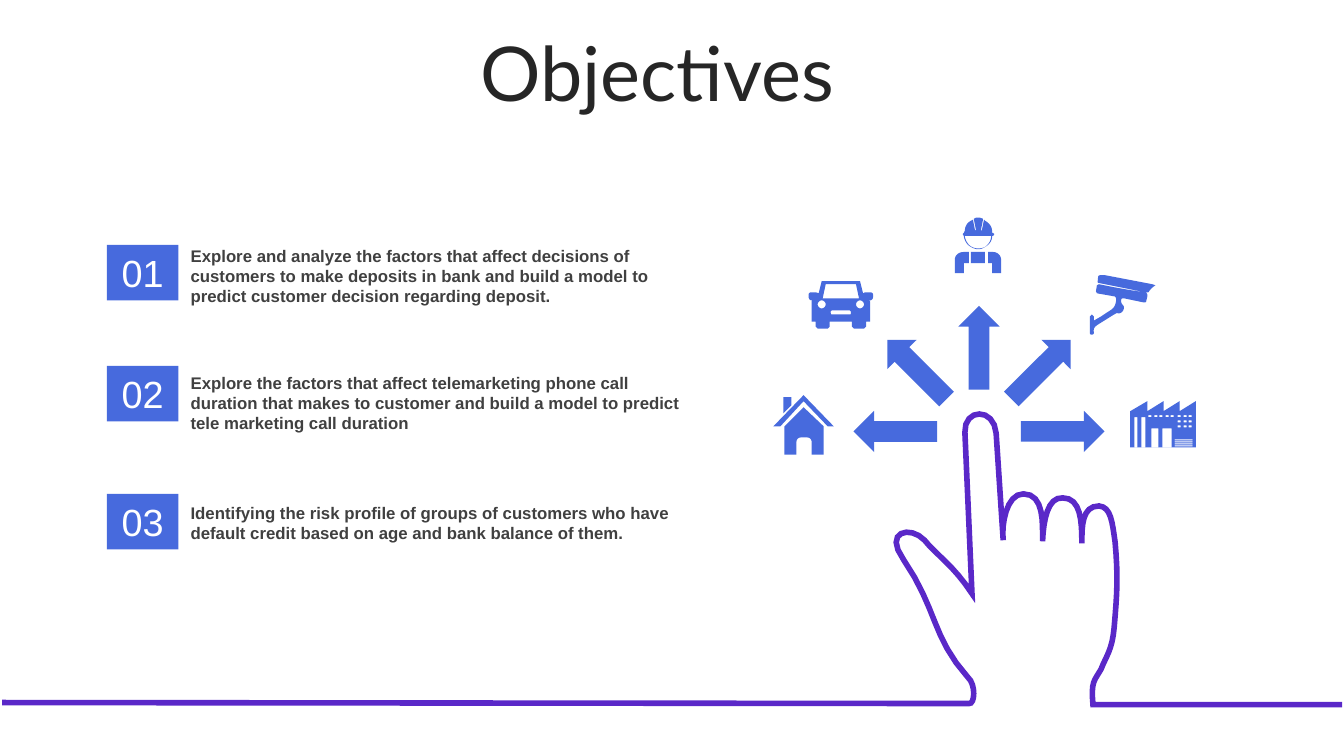
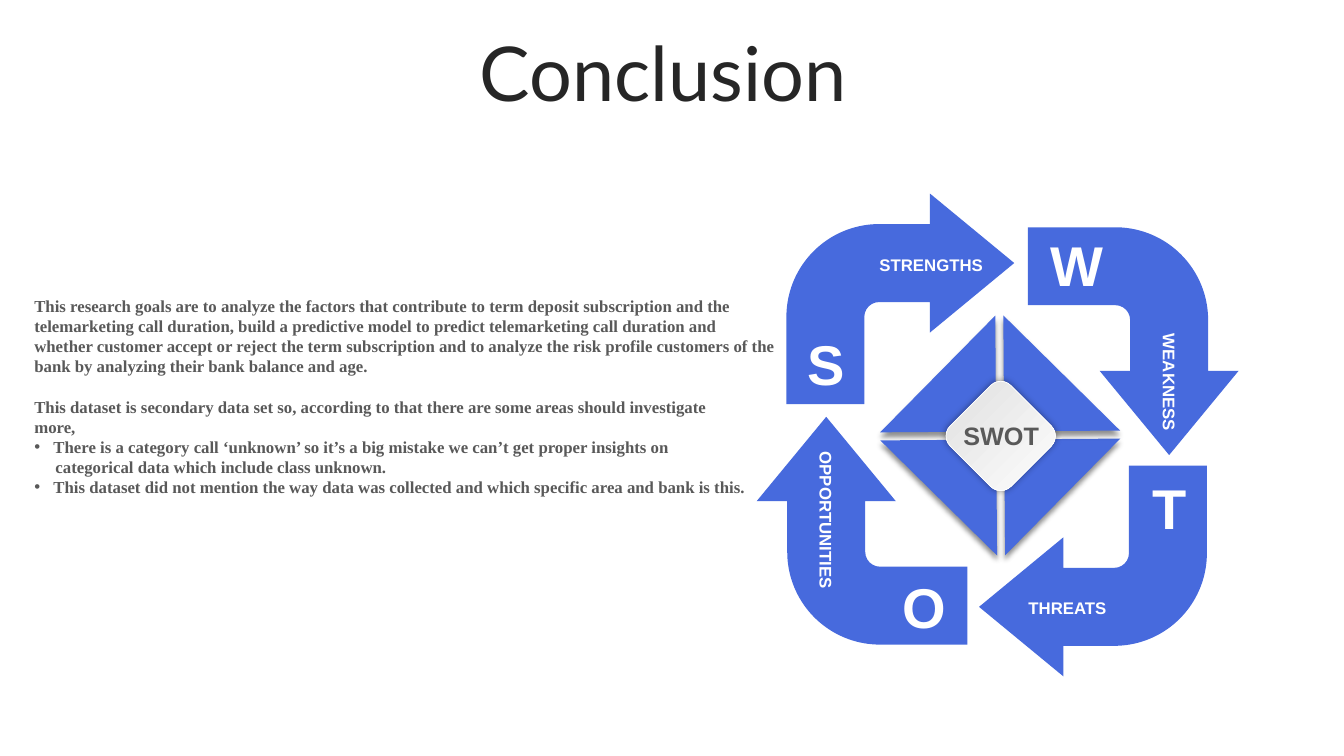
import math
from dataclasses import dataclass

import lxml.etree
import pptx
import pptx.dml.color
import pptx.enum.shapes
import pptx.enum.text
import pptx.oxml.ns
import pptx.util

Inches = pptx.util.Inches
Pt = pptx.util.Pt
qn = pptx.oxml.ns.qn
SHAPE = pptx.enum.shapes.MSO_SHAPE
ALIGN = pptx.enum.text.PP_ALIGN
ANCHOR = pptx.enum.text.MSO_ANCHOR


@dataclass(frozen=True)
class Theme:
    blue: str = "476ADD"
    purple: str = "5A28C8"
    white: str = "FFFFFF"
    silver: str = "DEDEDE"
    title_color: str = "262626"
    text_color: str = "404040"
    muted: str = "595959"
    title_font: str = "Lato"
    sans: str = "Arial"
    serif: str = "Times New Roman"
    title_size: float = 54
    letter_size: float = 40
    number_size: float = 27
    hub_size: float = 18
    text_size: float = 12


THEME = Theme()

OBJECTIVES = [
    ("01", 2.43, 2.39, "Explore and analyze the factors that affect decisions of customers to make deposits in bank "
     "and build a model to predict customer decision regarding deposit."),
    ("02", 3.63, 3.65, "Explore the factors that affect telemarketing phone call duration that makes to customer "
     "and build a model to predict tele marketing call duration"),
    ("03", 4.9, 4.94, "Identifying the risk profile of groups of customers who have default credit based on age "
     "and bank balance of them."),
]

CONCLUSION = [
    ("plain", "This research goals are to analyze the factors that contribute to term deposit subscription and the "
     "telemarketing call duration, build a predictive model to predict telemarketing call duration and whether "
     "customer accept or reject the term subscription and to analyze the risk profile customers of the bank by "
     "analyzing their bank balance and age."),
    ("spaced", "This dataset is secondary data set so, according to that there are some areas should investigate"),
    ("plain", "more,"),
    ("bullet", "There is a category call ‘unknown’ so it’s a big mistake we can’t get proper insights on"),
    ("continued", "categorical data which include class unknown."),
    ("bullet", "This dataset did not mention the way data was collected and which specific area and bank is this."),
]
INDENTS = {"plain": (0, 0), "spaced": (0, 0), "bullet": (0.19, -0.19), "continued": (0.21, 0)}

SWOT = [
    {"letter": "S", "letter_at": (7.74, 3.22), "arrow_at": (7.8, 1.92),
     "label": "STRENGTHS", "label_at": (8.35, 2.48, 1.52), "turn": 0, "align": ALIGN.RIGHT},
    {"letter": "W", "letter_at": (10.23, 2.24), "arrow_at": (10.11, 2.34),
     "label": "WEAKNESS", "label_at": (10.84, 3.49, 1.52), "turn": 90, "align": ALIGN.RIGHT},
    {"letter": "T", "letter_at": (11.15, 4.65), "arrow_at": (9.71, 4.62),
     "label": "THREATS", "label_at": (10.08, 5.88, 1.52), "turn": 0, "align": ALIGN.LEFT},
    {"letter": "O", "letter_at": (8.72, 5.63), "arrow_at": (7.42, 4.22),
     "label": "OPPORTUNITIES", "label_at": (7.22, 5.19, 1.95), "turn": 90, "align": ALIGN.LEFT},
]

HAND = [
    """M 0.02 6.97 L 9.61 6.98 C 9.67 6.99 9.68 6.79 9.6 6.72 9.24 6.32 9.3 6.05 8.96 5.55
    8.76 5.27 9.03 5.21 9.17 5.36 9.28 5.5 9.46 5.61 9.64 5.89 L 9.57 4.29
    C 9.56 4.05 9.86 4.04 9.88 4.3 L 9.95 5.36 C 9.93 5.21 9.98 4.9 10.15 4.9
    10.36 4.9 10.34 5.2 10.34 5.37 10.35 5.16 10.39 4.93 10.54 4.94
    10.72 4.94 10.73 5.17 10.73 5.39 10.73 5.22 10.73 5.02 10.9 5.02
    11.02 5.03 11.03 5.18 11.06 5.38 11.09 5.72 11.08 5.88 11.05 6.23
    11.03 6.45 10.97 6.51 10.92 6.64 10.85 6.76 10.82 6.76 10.84 6.99 L 13.31 6.99""",
]

HOUSE = [
    """M 7.97 4.04 L 8.17 4.23 8.17 4.51 8.05 4.51 8.05 4.38 C 8.05 4.36 8.03 4.34 8.01 4.34
    L 7.94 4.34 C 7.92 4.34 7.9 4.36 7.9 4.38 L 7.9 4.51 7.78 4.51 7.78 4.23""",
    "M 7.77 3.94 L 7.85 3.94 7.85 4.02 7.77 4.1",
    "M 7.97 3.92 L 8.27 4.23 8.21 4.23 7.97 3.98 7.74 4.23 7.67 4.23",
]

CAR = [
    """M 8.25 3.08 L 8.24 3.09 8.24 3.1 C 8.24 3.11 8.24 3.12 8.25 3.12
    L 8.43 3.12 C 8.44 3.12 8.44 3.11 8.44 3.1 L 8.44 3.09 8.43 3.08""",
    """M 8.53 2.98 C 8.51 2.98 8.49 3 8.49 3.02 8.49 3.04 8.51 3.06 8.53 3.06
    8.55 3.06 8.57 3.04 8.57 3.02 8.57 3 8.55 2.98 8.53 2.98""",
    """M 8.15 2.98 C 8.13 2.98 8.11 3 8.11 3.02 8.11 3.04 8.13 3.06 8.15 3.06
    8.17 3.06 8.19 3.04 8.19 3.02 8.19 3 8.17 2.98 8.15 2.98""",
    "M 8.19 2.82 L 8.16 2.96 8.52 2.96 8.49 2.82",
    """M 8.15 2.79 L 8.53 2.79 8.56 2.91 8.58 2.9 8.63 2.9
    C 8.65 2.9 8.66 2.91 8.66 2.93 L 8.66 2.94 C 8.66 2.96 8.65 2.98 8.63 2.98
    L 8.62 2.98 8.63 2.99 8.63 3.19 8.59 3.19 8.59 3.24 8.57 3.26 8.47 3.26 8.45 3.24
    8.45 3.19 8.23 3.19 8.23 3.24 8.21 3.26 8.11 3.26 8.09 3.24 8.09 3.19 8.05 3.19 8.05 2.99
    8.06 2.98 8.05 2.98 C 8.03 2.98 8.02 2.96 8.02 2.94 L 8.02 2.93
    C 8.02 2.91 8.03 2.9 8.05 2.9 L 8.09 2.9 8.12 2.91""",
]

CAMERA = [
    """M 10.9 2.82 C 11.05 2.85 11.2 2.88 11.36 2.9 11.38 2.91 11.38 2.92 11.38 2.94
    L 11.37 2.98 C 11.37 3 11.36 3 11.34 3 L 11.15 2.96
    C 11.13 2.96 11.12 2.96 11.12 2.98 11.12 3 11.12 3.01 11.14 3.03
    11.15 3.04 11.15 3.06 11.14 3.08 11.13 3.1 11.11 3.11 11.09 3.11
    11.08 3.1 11.07 3.11 11.05 3.12 L 10.89 3.22
    C 10.86 3.24 10.84 3.26 10.85 3.3 10.85 3.31 10.84 3.32 10.83 3.32
    10.81 3.32 10.81 3.31 10.81 3.3 L 10.81 3.14 10.83 3.12 10.85 3.14 10.85 3.18 10.92 3.14 11.01 3.08
    C 11.05 3.06 11.07 3.02 11.07 2.97 11.07 2.95 11.06 2.94 11.05 2.94
    L 10.88 2.91 10.87 2.89 10.88 2.83""",
    """M 10.92 2.73 L 10.96 2.73 11.43 2.82 11.46 2.83 C 11.43 2.85 11.41 2.87 11.39 2.9
    L 11.36 2.9 10.91 2.81 C 10.89 2.81 10.88 2.8 10.89 2.78 10.89 2.74 10.89 2.73 10.92 2.73""",
]

WORKER = [
    "M 9.8 2.5 L 9.85 2.5 C 9.89 2.5 9.93 2.53 9.93 2.58 L 9.93 2.71 9.84 2.71 9.84 2.61 9.8 2.61",
    "M 9.63 2.5 L 9.77 2.5 9.77 2.61 9.63 2.61",
    "M 9.56 2.5 L 9.61 2.5 9.61 2.61 9.56 2.61 9.56 2.71 9.47 2.71 9.47 2.58 C 9.47 2.53 9.51 2.5 9.56 2.5",
    """M 9.57 2.34 L 9.57 2.35 C 9.58 2.39 9.6 2.43 9.64 2.45 9.68 2.47 9.73 2.47 9.77 2.45
    9.8 2.43 9.83 2.39 9.83 2.35 L 9.83 2.34""",
    """M 9.68 2.16 L 9.72 2.16 9.75 2.17 9.75 2.18 9.73 2.28 9.73 2.29 9.74 2.28 9.76 2.18 9.77 2.19
    C 9.81 2.21 9.84 2.25 9.84 2.29 L 9.84 2.31 9.85 2.31 9.86 2.32 9.86 2.33 9.85 2.34
    9.84 2.34 9.84 2.35 C 9.84 2.39 9.81 2.43 9.77 2.45 9.73 2.48 9.68 2.48 9.63 2.45
    9.59 2.43 9.57 2.39 9.56 2.35 L 9.56 2.34 9.55 2.33 9.55 2.32 9.56 2.31 9.57 2.29
    C 9.57 2.25 9.59 2.21 9.63 2.19 L 9.65 2.18 9.67 2.28 9.68 2.29 9.68 2.28 9.66 2.18 9.66 2.17""",
]

FACTORY_OUTLINE = [
    """M 11.38 3.98 L 11.38 4.08 11.54 3.98 11.54 4.08 11.7 3.98 11.7 4.08 11.86 3.98
    11.86 4.44 11.21 4.44 11.21 4.08""",
]
WINDOW_COLUMNS = (11.39, 11.45, 11.5, 11.56, 11.61, 11.68, 11.74, 11.79)
FACTORY_OPENINGS = (
    [(11.65, top, 0.18, 0.01) for top in (4.36, 4.38, 4.4, 4.42)]
    + [(11.53, 4.25, 0.09, 0.19), (11.42, 4.25, 0.07, 0.19), (11.32, 4.14, 0.04, 0.3), (11.25, 4.14, 0.03, 0.3)]
    + [(left, 4.12, 0.03, 0.02) for left in WINDOW_COLUMNS]
    + [(left, top, 0.03, 0.02) for top in (4.17, 4.22) for left in WINDOW_COLUMNS[-3:]]
)


def rgb(color):
    return pptx.dml.color.RGBColor.from_string(color)


def box(left, top, width, height):
    return Inches(left), Inches(top), Inches(width), Inches(height)


def style_paragraph(paragraph, font, size, color, bold=False, align=ALIGN.LEFT):
    paragraph.alignment = align
    for run in paragraph.runs:
        run.font.name, run.font.size, run.font.bold = font, Pt(size), bold
        run.font.color.rgb = rgb(color)


def write(shape, text, font, size, color, bold=True, align=ALIGN.CENTER, anchor=ANCHOR.TOP, inset=0.12):
    frame = shape.text_frame
    frame.word_wrap = True
    frame.vertical_anchor = anchor
    frame.margin_left = frame.margin_right = Inches(inset)
    frame.text = text
    style_paragraph(frame.paragraphs[0], font, size, color, bold, align)


def add_title(slide, text, left):
    title = slide.shapes.title
    title.left, title.top, title.width, title.height = box(left, 0.37, 12.66, 0.79)
    write(title, text, THEME.title_font, THEME.title_size, THEME.title_color, False, anchor=ANCHOR.MIDDLE)
    title.text_frame.auto_size = pptx.enum.text.MSO_AUTO_SIZE.NONE
    title.text_frame.paragraphs[0].line_spacing = 0.9


def add_blue_shape(slide, kind, left, top, width, height, rotation=0):
    shape = slide.shapes.add_shape(kind, *box(left, top, width, height))
    shape.rotation = rotation
    shape.shadow.inherit = False
    shape.fill.solid()
    shape.fill.fore_color.rgb = rgb(THEME.blue)
    shape.line.fill.background()
    return shape


def add_shadow(shape, opacity, blur, distance, direction):
    effects = shape._element.spPr.find(qn("a:effectLst"))
    shadow = lxml.etree.SubElement(effects, qn("a:outerShdw"), blurRad=str(Pt(blur)), dist=str(Pt(distance)),
                                   dir=str(direction * 60000), algn="ctr", rotWithShape="0")
    color = lxml.etree.SubElement(shadow, qn("a:srgbClr"), val="000000")
    lxml.etree.SubElement(color, qn("a:alpha"), val=str(opacity * 1000))


def bezier(points, steps=8):
    for step in range(1, steps + 1):
        t = step / steps
        weights = ((1 - t) ** 3, 3 * t * (1 - t) ** 2, 3 * t * t * (1 - t), t ** 3)
        yield tuple(sum(w * p[axis] for w, p in zip(weights, points)) for axis in (0, 1))


def trace(outline):
    contour, command, numbers = [], "", []
    for token in outline.split():
        if token.isalpha():
            command = token
            continue
        numbers.append(float(token))
        if len(numbers) < (6 if command == "C" else 2):
            continue
        points = list(zip(numbers[::2], numbers[1::2]))
        numbers = []
        contour += bezier([contour[-1]] + points) if command == "C" else points
    return contour


def add_outline(slide, contours, closed=True):
    builder = None
    for contour in contours:
        start, *rest = [(Inches(x), Inches(y)) for x, y in contour]
        if builder is None:
            builder = slide.shapes.build_freeform(*start, scale=1.0)
        else:
            builder.move_to(*start)
        builder.add_line_segments(rest, close=closed)
    shape = builder.convert_to_shape()
    shape.shadow.inherit = False
    if closed:
        shape.fill.solid()
        shape.fill.fore_color.rgb = rgb(THEME.blue)
        shape.line.fill.background()
    else:
        shape.fill.background()
        shape.line.color.rgb = rgb(THEME.purple)
        shape.line.width = Pt(4)
        lxml.etree.SubElement(shape._element.spPr.find(qn("a:ln")), qn("a:miter"), lim="800000")


def build_objectives(presentation):
    slide = presentation.slides.add_slide(presentation.slide_layouts[5])
    add_title(slide, "Objectives", 0.19)
    for number, number_top, text_top, text in OBJECTIVES:
        tile = add_blue_shape(slide, SHAPE.RECTANGLE, 1.06, number_top, 0.71, 0.55)
        write(tile, number, THEME.sans, THEME.number_size, THEME.white, False, anchor=ANCHOR.MIDDLE, inset=0.1)
        text_box = slide.shapes.add_textbox(*box(1.77, text_top, 5.18, 0.71))
        write(text_box, text, THEME.sans, THEME.text_size, THEME.text_color, align=ALIGN.LEFT)
    add_outline(slide, map(trace, HAND), closed=False)
    width, height = 0.83, 0.41
    for angle in range(180, 361, 45):
        radius = 0.87 if angle % 90 else 0.83
        left = 9.71 + radius * math.cos(math.radians(angle)) - width / 2
        top = 4.28 + radius * math.sin(math.radians(angle)) - height / 2
        add_blue_shape(slide, SHAPE.RIGHT_ARROW, left, top, width, height, angle % 360)
    openings = [[(x, y), (x, y + h), (x + w, y + h), (x + w, y)] for x, y, w, h in FACTORY_OPENINGS]
    for icon in (HOUSE, CAR, CAMERA, WORKER):
        add_outline(slide, map(trace, icon))
    add_outline(slide, [*openings, *map(trace, FACTORY_OUTLINE)])


def add_conclusion_text(slide):
    body = slide.placeholders[1]
    body.left, body.top, body.width, body.height = box(0.24, 2.88, 7.56, 2.12)
    frame = body.text_frame
    frame.text = "\n".join(text for _, text in CONCLUSION)
    frame.auto_size = pptx.enum.text.MSO_AUTO_SIZE.NONE
    for (kind, _), paragraph in zip(CONCLUSION, frame.paragraphs):
        properties = paragraph._p.get_or_add_pPr()
        margin, indent = INDENTS[kind]
        properties.set("marL", str(Inches(margin)))
        properties.set("indent", str(Inches(indent)))
        if kind == "bullet":
            lxml.etree.SubElement(properties, qn("a:buFont"), typeface=THEME.sans)
            lxml.etree.SubElement(properties, qn("a:buChar"), char="•")
        else:
            lxml.etree.SubElement(properties, qn("a:buNone"))
        paragraph.space_before = Pt(14.5 if kind == "spaced" else 0)
        style_paragraph(paragraph, THEME.serif, THEME.text_size, THEME.muted, True)


def build_conclusion(presentation):
    slide = presentation.slides.add_slide(presentation.slide_layouts[1])
    add_title(slide, "Conclusion", 0.25)
    add_conclusion_text(slide)
    for index, part in enumerate(SWOT):
        arrow = add_blue_shape(slide, SHAPE.BENT_ARROW, *part["arrow_at"], 2.26, 2.09, 90 * index)
        for position, value in enumerate((0.37, 0.33, 0.4, 0.44)):
            arrow.adjustments[position] = value
    for part in SWOT:
        letter = slide.shapes.add_textbox(*box(*part["letter_at"], 0.9, 0.77))
        write(letter, part["letter"], THEME.sans, THEME.letter_size, THEME.white, inset=0)
        label = slide.shapes.add_textbox(*box(*part["label_at"], 0.29))
        label.rotation = part["turn"]
        write(label, part["label"], THEME.sans, THEME.text_size, THEME.white, True, part["align"], ANCHOR.MIDDLE)
    side, across, down = 1.15, 0.62, 0.61
    for quarter in range(4):
        left, top = 9.92 + across - side / 2, 4.32 + down - side / 2
        triangle = add_blue_shape(slide, SHAPE.RIGHT_TRIANGLE, left, top, side, side, (89.6 - 90 * quarter) % 360)
        add_shadow(triangle, 43, 4, 3, 90)
        across, down = down, -across
    hub = add_blue_shape(slide, SHAPE.ROUNDED_RECTANGLE, 9.5, 3.9, 0.85, 0.85, 45)
    hub.fill.gradient()
    hub.fill.gradient_angle = 0
    for stop, color in zip(hub.fill.gradient_stops, (THEME.silver, THEME.white)):
        stop.color.rgb = rgb(color)
    hub.line.color.rgb = rgb(THEME.white)
    hub.line.width = Pt(0.5)
    add_shadow(hub, 40, 5, 0, 0)
    hub_label = slide.shapes.add_textbox(*box(9.43, 4.12, 1, 0.4))
    write(hub_label, "SWOT", THEME.sans, THEME.hub_size, THEME.muted, inset=0)


def main():
    presentation = pptx.Presentation()
    presentation.slide_width, presentation.slide_height = Inches(13.33), Inches(7.5)
    build_objectives(presentation)
    build_conclusion(presentation)
    presentation.save("out.pptx")


if __name__ == "__main__":
    main()
